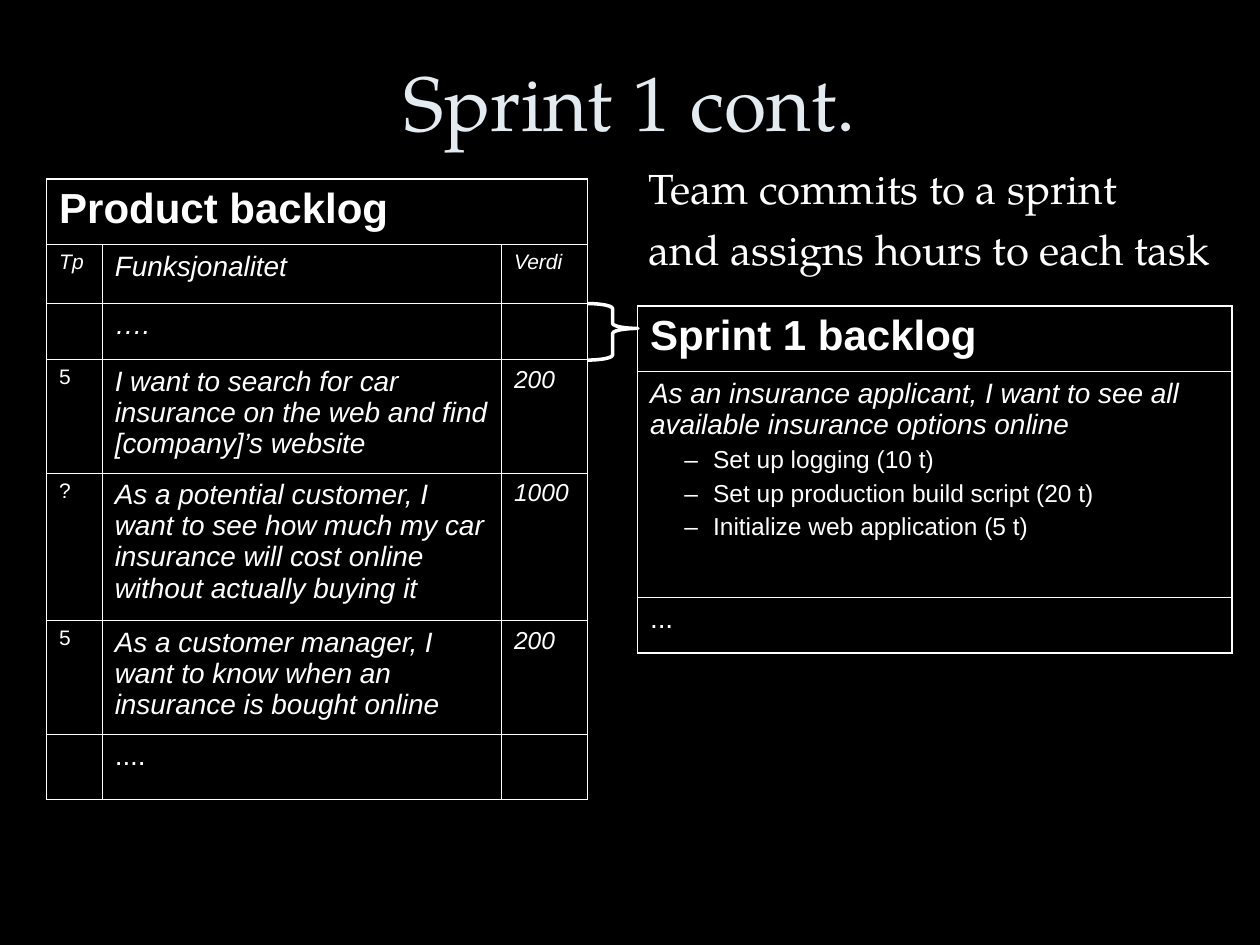
from pptx import Presentation
from pptx.dml.color import RGBColor
from pptx.enum.shapes import MSO_SHAPE
from pptx.enum.text import MSO_ANCHOR, MSO_AUTO_SIZE, PP_ALIGN
from pptx.oxml.ns import qn
from pptx.util import Cm, Pt
from lxml.etree import SubElement

HUES = {"back": "000000", "ink": "FFFFFF", "title": "E3EBF1"}
SERIF, SANS = "TeX Gyre Pagella", "Arial"
THICK, THIN = 1.08, 0.45


def write(para, text, size=16, font=SANS, hue="ink", bold=False, italic=False,
          before=None, dash=False, align=None):
    """Put formatted text into a paragraph."""
    if dash:
        props = para._p.get_or_add_pPr()
        props.set("marL", str(Cm(1.27)))
        props.set("indent", str(-Cm(0.58)))
        SubElement(props, qn("a:buFont"), typeface=SANS)
        SubElement(props, qn("a:buChar"), char="–")
    if before is not None:
        para.space_before = Pt(before)
    if align is not None:
        para.alignment = align
    run = para.add_run()
    run.text = text
    face = run.font
    face.name, face.size, face.bold, face.italic = font, Pt(size), bold, italic
    face.color.rgb = RGBColor.from_string(HUES[hue])


class Deck:
    """Hold the style and the current slide."""

    def __init__(self):
        """Start a black slide with a title."""
        self.show = Presentation()
        self.show.slide_width, self.show.slide_height = Cm(25.4), Cm(19.05)
        self.slide = self.show.slides.add_slide(self.show.slide_layouts[5])
        fill = self.slide.background.fill
        fill.solid()
        fill.fore_color.rgb = RGBColor.from_string(HUES["back"])

    def title(self, text, *box):
        """Fill and place the title."""
        shape = self.slide.shapes.title
        shape.left, shape.top, shape.width, shape.height = map(Cm, box)
        frame = shape.text_frame
        frame.auto_size = MSO_AUTO_SIZE.NONE
        frame.vertical_anchor = MSO_ANCHOR.MIDDLE
        write(frame.paragraphs[0], text, size=44, font=SERIF, hue="title",
              align=PP_ALIGN.CENTER)

    def fill(self, frame, lines):
        """Write one paragraph for each line and its format."""
        for num, (text, style) in enumerate(lines):
            para = frame.add_paragraph() if num else frame.paragraphs[0]
            write(para, text, **style)

    def note(self, lines, *box):
        """Add a wrapped text box."""
        frame = self.slide.shapes.add_textbox(*map(Cm, box)).text_frame
        frame.word_wrap = True
        self.fill(frame, lines)

    def edge(self, cell, side, width):
        """Draw one border of a cell."""
        line = SubElement(cell._tc.get_or_add_tcPr(), qn(f"a:ln{side}"),
                          w=str(Pt(width)))
        paint = SubElement(line, qn("a:solidFill"))
        SubElement(paint, qn("a:srgbClr"), val=HUES["ink"])

    def table(self, left, top, widths, heights, rows):
        """Add a ruled table with a heading across its first row."""
        wide, tall = len(widths), len(heights)
        grid = self.slide.shapes.add_table(
            tall, wide, Cm(left), Cm(top), Cm(sum(widths)), Cm(sum(heights))).table
        grid.first_row = grid.horz_banding = False
        for col, width in zip(grid.columns, widths):
            col.width = Cm(width)
        for row, height in zip(grid.rows, heights):
            row.height = Cm(height)
        if wide > 1:
            grid.cell(0, 0).merge(grid.cell(0, wide - 1))
        for r, row in enumerate(rows):
            for c, lines in enumerate(row):
                cell = grid.cell(r, c)
                last = c + cell.span_width == wide
                outer = {"L": c == 0, "R": last, "T": r == 0, "B": r == tall - 1}
                for side, rim in outer.items():
                    self.edge(cell, side, THICK if rim else THIN)
                cell.fill.background()
                self.fill(cell.text_frame, lines)

    def brace(self, *box):
        """Add a right brace."""
        shape = self.slide.shapes.add_shape(MSO_SHAPE.RIGHT_BRACE, *map(Cm, box))
        shape.shadow.inherit = False
        shape.fill.background()
        shape.line.color.rgb = RGBColor.from_string(HUES["ink"])
        shape.line.width = Pt(2)
        shape.adjustments[0], shape.adjustments[1] = 0.1, 0.44


def part(text, size=16, italic=True, **more):
    """Give the lines of a cell that holds one paragraph."""
    return [(text, dict(size=size, italic=italic, **more))] if text else []


def head(text):
    """Give the heading row of a table."""
    return [part(text, 24, False, bold=True)]


def main():
    """Build and save the slide."""
    deck = Deck()
    deck.title("Sprint 1 cont.", 1.27, 0.43, 22.86, 3.18)

    stories = [
        ("", "….", ""),
        ("5", "I want to search for car insurance on the web and find "
              "[company]’s website", "200"),
        ("?", "As a potential customer, I want to see how much my car insurance "
              "will cost online without actually buying it", "1000"),
        ("5", "As a customer manager, I want to know when an insurance is "
              "bought online", "200"),
    ]
    backlog = [head("Product backlog"),
               [part("Tp", 12), part("Funksjonalitet"), part("Verdi", 12)]]
    backlog += [[part(points, 12, False), part(story), part(value, 14)]
                for points, story, value in stories]
    backlog.append([[], part("....", italic=False), []])
    deck.table(0.94, 3.61, [1.12, 8.05, 1.73],
               [1.32, 1.18, 1.14, 2.29, 2.97, 2.29, 1.32], backlog)

    tasks = ["Set up logging (10 t)", "Set up production build script (20 t)",
             "Initialize web application (5 t)"]
    goal = part("As an insurance applicant, I want to see all available "
                "insurance options online")
    goal += [(task, dict(size=14, before=3.5, dash=True)) for task in tasks]
    deck.table(12.85, 6.17, [11.99], [1.32, 4.55, 1.12],
               [head("Sprint 1 backlog"), [goal], [part("...", italic=False)]])

    deck.note([("Team commits to a sprint", dict(size=24, font=SERIF)),
               ("and assigns hours to each task",
                dict(size=24, font=SERIF, before=6))],
              12.83, 3.15, 12.57, 3.53)
    deck.brace(11.84, 6.12, 1.02, 1.14)
    deck.show.save("out.pptx")


if __name__ == "__main__":
    main()
